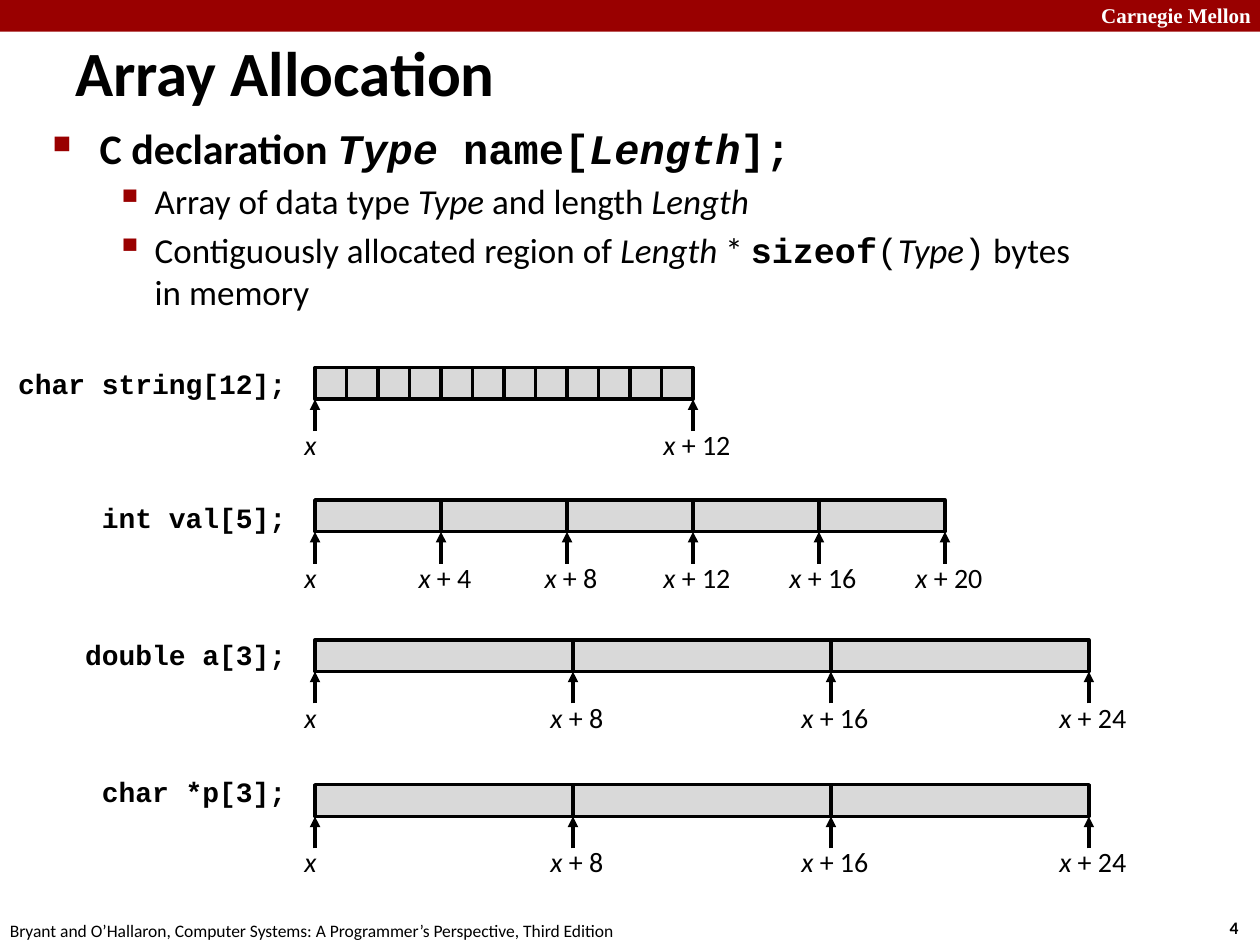
from lxml.etree import SubElement
from pptx import Presentation
from pptx.dml.color import RGBColor
from pptx.enum.shapes import MSO_CONNECTOR, MSO_SHAPE
from pptx.enum.text import MSO_ANCHOR, PP_ALIGN
from pptx.oxml.ns import qn
from pptx.util import Cm, Pt

RED = RGBColor(0x99, 0x00, 0x00)
BLACK = RGBColor(0x00, 0x00, 0x00)
WHITE = RGBColor(0xFF, 0xFF, 0xFF)
GRAY = RGBColor(0xD9, 0xD9, 0xD9)
SANS, MONO, SERIF = "Calibri", "Courier New", "Times New Roman"

UNIVERSITY = "Carnegie Mellon"
TITLE = "Array Allocation"
FOOTER = "Bryant and O’Hallaron, Computer Systems: A Programmer’s Perspective, Third Edition"
PAGE_NUMBER = "4"

LINE_BREAK = "\n"
# text, font, bold, italic
BULLETS = [
    (0, [("C declaration ", SANS, True, False), ("Type", MONO, True, True),
         (" name[", MONO, True, False), ("Length", MONO, True, True),
         ("];", MONO, True, False)]),
    (1, [("Array of data type ", SANS, False, False), ("Type", SANS, False, True),
         (" and length ", SANS, False, False), ("Length", SANS, False, True)]),
    (1, [("Contiguously allocated region of ", SANS, False, False),
         ("Length", SANS, False, True), (" * ", SANS, False, False),
         ("sizeof", MONO, True, False), ("(", MONO, False, False),
         ("Type", SANS, False, True), (")", MONO, False, False),
         (" bytes", SANS, False, False), (LINE_BREAK, SANS, False, False),
         ("in memory", SANS, False, False)]),
]
# size, margin, hanging indent, bullet, bullet size, space before
LEVELS = [
    (24, 0.95, 0.95, "■", 60, 0),
    (20, 2.06, 0.79, "▪", 110, 4),
]
# declaration, declaration top, bar top, bar width, cells, bytes marked
ARRAYS = [
    ("char string[12];", 7.26, 7.41, 7.62, 12, 12, (0, 12)),
    ("int val[5];", 9.96, 10.08, 12.7, 5, 20, (0, 4, 8, 12, 16, 20)),
    ("double a[3];", 12.73, 12.9, 15.6, 3, 24, (0, 8, 16, 24)),
    ("char *p[3];", 15.49, 15.82, 15.6, 3, 24, (0, 8, 16, 24)),
]
BAR_LEFT, BAR_HEIGHT = 6.35, 0.64
LABEL_WIDTH, LABEL_DROP = 2.8, 1.09


def add_box(page, left, top, width, height, wrap=True):
    box = page.shapes.add_textbox(Cm(left), Cm(top), Cm(width), Cm(height))
    box.text_frame.word_wrap = wrap
    return box.text_frame


def set_font(para, size, name=SANS, color=BLACK, bold=False):
    para.font.size = Pt(size)
    para.font.name = name
    para.font.bold = bold
    para.font.color.rgb = color


def add_text(page, text, left, top, width, height, size, name=SANS,
             color=BLACK, bold=False, align=PP_ALIGN.LEFT, wrap=True):
    frame = add_box(page, left, top, width, height, wrap)
    para = frame.paragraphs[0]
    para.text = text
    para.alignment = align
    set_font(para, size, name, color, bold)
    return frame


def add_bullet(para, margin, hanging, symbol, percent):
    properties = para._p.get_or_add_pPr()
    properties.set("marL", str(Cm(margin)))
    properties.set("indent", str(-Cm(hanging)))
    color = SubElement(properties, qn("a:buClr"))
    SubElement(color, qn("a:srgbClr"), val=str(RED))
    SubElement(properties, qn("a:buSzPct"), val=str(percent * 1000))
    SubElement(properties, qn("a:buChar"), char=symbol)


def add_bullets(page):
    frame = add_box(page, 0.81, 2.34, 23.09, 4.5)
    for index, (level, spans) in enumerate(BULLETS):
        size, margin, hanging, symbol, percent, space = LEVELS[level]
        para = frame.add_paragraph() if index else frame.paragraphs[0]
        para.level = level
        add_bullet(para, margin, hanging, symbol, percent)
        if space:
            para.space_before = Pt(space)
        para.font.size = Pt(size)
        para.font.color.rgb = BLACK
        for text, name, bold, italic in spans:
            if text == LINE_BREAK:
                para.add_line_break()
                continue
            span = para.add_run()
            span.text = text
            span.font.name = name
            span.font.bold = bold
            span.font.italic = italic


def add_rectangle(page, left, top, width, height, fill, outlined):
    shape = page.shapes.add_shape(
        MSO_SHAPE.RECTANGLE, Cm(left), Cm(top), Cm(width), Cm(height))
    shape.shadow.inherit = False
    shape.fill.solid()
    shape.fill.fore_color.rgb = fill
    if outlined:
        shape.line.color.rgb = BLACK
        shape.line.width = Pt(2)
    else:
        shape.line.fill.background()


def add_up_arrow(page, x, tip):
    arrow = page.shapes.add_connector(
        MSO_CONNECTOR.STRAIGHT, Cm(x), Cm(tip + BAR_HEIGHT), Cm(x), Cm(tip))
    arrow.line.color.rgb = BLACK
    arrow.line.width = Pt(2)
    SubElement(arrow.line._get_or_add_ln(), qn("a:tailEnd"), type="triangle")
    SubElement(arrow._element.spPr, qn("a:effectLst"))


def add_address(page, x, top, offset):
    center = x + (0.08 if offset else -0.09)
    frame = add_box(page, center - LABEL_WIDTH / 2, top, LABEL_WIDTH, 0.94)
    para = frame.paragraphs[0]
    para.alignment = PP_ALIGN.CENTER
    set_font(para, 16)
    base = para.add_run()
    base.text = "x " if offset else "x"
    base.font.italic = True
    if offset:
        para.add_run().text = f"+ {offset}"


def add_array(page, declaration, text_top, top, width, cells, size, offsets):
    add_text(page, declaration, 0.08, text_top, 5.94, 0.94, 16, MONO,
             bold=True, align=PP_ALIGN.RIGHT)
    cell_width = width / cells
    for index in range(cells):
        add_rectangle(page, BAR_LEFT + index * cell_width, top,
                      cell_width, BAR_HEIGHT, GRAY, True)
    for offset in offsets:
        x = BAR_LEFT + width * offset / size
        add_up_arrow(page, x, top + BAR_HEIGHT)
        add_address(page, x, top + LABEL_DROP, offset)


def main():
    deck = Presentation()
    deck.slide_width, deck.slide_height = Cm(25.4), Cm(19.05)
    page = deck.slides.add_slide(deck.slide_layouts[6])
    add_rectangle(page, 0, 0, 25.4, 0.64, RED, False)
    add_text(page, UNIVERSITY, 21.95, -0.08, 3.63, 0.76, 12, SERIF, WHITE, True)
    add_text(page, PAGE_NUMBER, 24.54, 18.36, 0.94, 0.69, 10, bold=True, wrap=False)
    add_text(page, FOOTER, -0.05, 18.42, 12.9, 0.69, 10, wrap=False)
    title = add_text(page, TITLE, 1.27, 0.64, 16.51, 1.6, 36, bold=True)
    title.vertical_anchor = MSO_ANCHOR.MIDDLE
    add_bullets(page)
    for array in ARRAYS:
        add_array(page, *array)
    deck.save("out.pptx")


if __name__ == "__main__":
    main()
